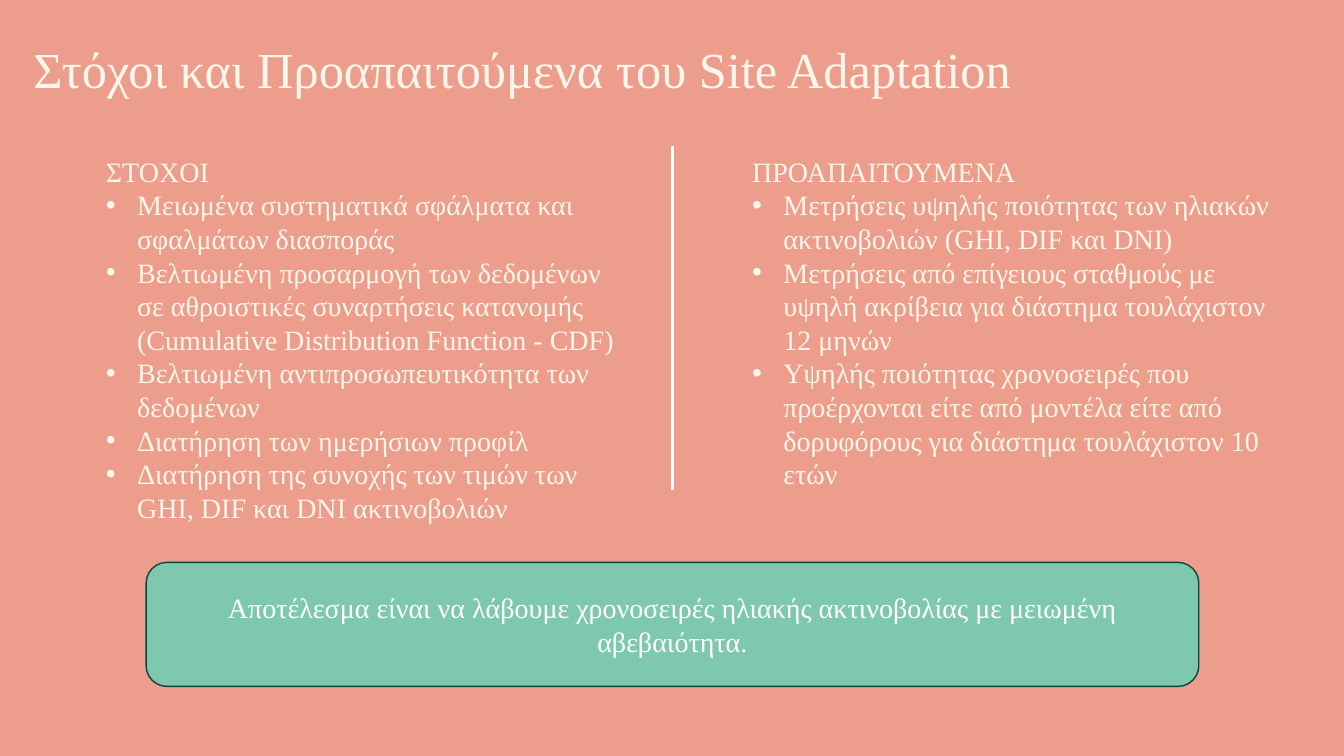
from lxml import etree
from pptx import Presentation
from pptx import util as u
from pptx.dml.color import RGBColor
from pptx.enum import shapes, text
from pptx.oxml import ns

FONT = "Times New Roman"
CREAM, WHITE = "FDF6EA", "FFFFFF"


def rgb(value):
    return RGBColor.from_string(value)


def format_text(tf, size, color, align, anchor):
    tf.word_wrap = True
    tf.auto_size = text.MSO_AUTO_SIZE.NONE
    tf.vertical_anchor = anchor
    for p in tf.paragraphs:
        p.alignment = align
        p.line_spacing = 1.0
        p.space_before = p.space_after = u.Pt(0)
        for r in p.runs:
            r.font.name = FONT
            r.font.size = u.Pt(size)
            r.font.color.rgb = rgb(color)


prs = Presentation()
prs.slide_width, prs.slide_height = u.Inches(13.33), u.Inches(7.5)
s = prs.slides.add_slide(prs.slide_layouts[3])
s.background.fill.solid()
s.background.fill.fore_color.rgb = rgb("ED9D8B")

# Title
title = s.shapes.title
title.left, title.top = u.Inches(0.23), u.Inches(0.33)
title.width, title.height = u.Inches(10.44), u.Inches(0.71)
title.text_frame.text = "Στόχοι και Προαπαιτούμενα του Site Adaptation"
format_text(title.text_frame, 36, CREAM, text.PP_ALIGN.LEFT, text.MSO_ANCHOR.TOP)

# Divider between the columns
divider = s.shapes.add_connector(
    shapes.MSO_CONNECTOR.STRAIGHT,
    u.Inches(6.67), u.Inches(1.45), u.Inches(6.67), u.Inches(4.86))
divider.line.color.rgb = rgb(WHITE)
divider.line.width = u.Pt(2.25)
etree.SubElement(divider._element.spPr, ns.qn("a:effectLst"))

# Two columns: heading followed by bullets
columns = [
    (1, 0.95, 3.8, "ΣΤΟΧΟΙ", [
        "Μειωμένα συστηματικά σφάλματα και σφαλμάτων διασποράς",
        "Βελτιωμένη προσαρμογή των δεδομένων σε αθροιστικές συναρτήσεις "
        "κατανομής (Cumulative Distribution Function - CDF)",
        "Βελτιωμένη αντιπροσωπευτικότητα των δεδομένων",
        "Διατήρηση των ημερήσιων προφίλ",
        "Διατήρηση της συνοχής των τιμών των GHI, DIF και DNI ακτινοβολιών",
    ]),
    (2, 7.36, 3.47, "ΠΡΟΑΠΑΙΤΟΥΜΕΝΑ", [
        "Μετρήσεις υψηλής ποιότητας των ηλιακών ακτινοβολιών (GHI, DIF και DNΙ)",
        "Μετρήσεις από επίγειους σταθμούς με υψηλή ακρίβεια για διάστημα "
        "τουλάχιστον 12 μηνών",
        "Υψηλής ποιότητας χρονοσειρές που προέρχονται είτε από μοντέλα είτε "
        "από δορυφόρους για διάστημα τουλάχιστον 10 ετών",
    ]),
]
for idx, left, height, heading, bullets in columns:
    body = s.placeholders[idx]
    body.left, body.top = u.Inches(left), u.Inches(1.48)
    body.width, body.height = u.Inches(5.36), u.Inches(height)
    tf = body.text_frame
    tf.text = "\n".join([heading] + bullets)
    format_text(tf, 20, CREAM, text.PP_ALIGN.LEFT, text.MSO_ANCHOR.TOP)
    for i, p in enumerate(tf.paragraphs):
        pPr = p._p.get_or_add_pPr()
        indent = u.Inches(0.31) if i else 0
        pPr.set("marL", str(indent))
        pPr.set("indent", str(-indent))
        if i:
            etree.SubElement(pPr, ns.qn("a:buFont")).set("typeface", "Arial")
            etree.SubElement(pPr, ns.qn("a:buChar")).set("char", "•")
        else:
            etree.SubElement(pPr, ns.qn("a:buNone"))

# Result box
sp = s.shapes.add_shape(
    shapes.MSO_SHAPE.ROUNDED_RECTANGLE,
    u.Inches(1.45), u.Inches(5.58), u.Inches(10.44), u.Inches(1.23))
sp.shadow.inherit = False
sp.fill.solid()
sp.fill.fore_color.rgb = rgb("7EC9AE")
sp.line.color.rgb = rgb("0A4443")
sp.line.width = u.Pt(1)
sp.text_frame.text = ("Αποτέλεσμα είναι να λάβουμε χρονοσειρές ηλιακής "
                      "ακτινοβολίας με μειωμένη αβεβαιότητα.")
format_text(sp.text_frame, 20, WHITE, text.PP_ALIGN.CENTER, text.MSO_ANCHOR.MIDDLE)

prs.save("out.pptx")
